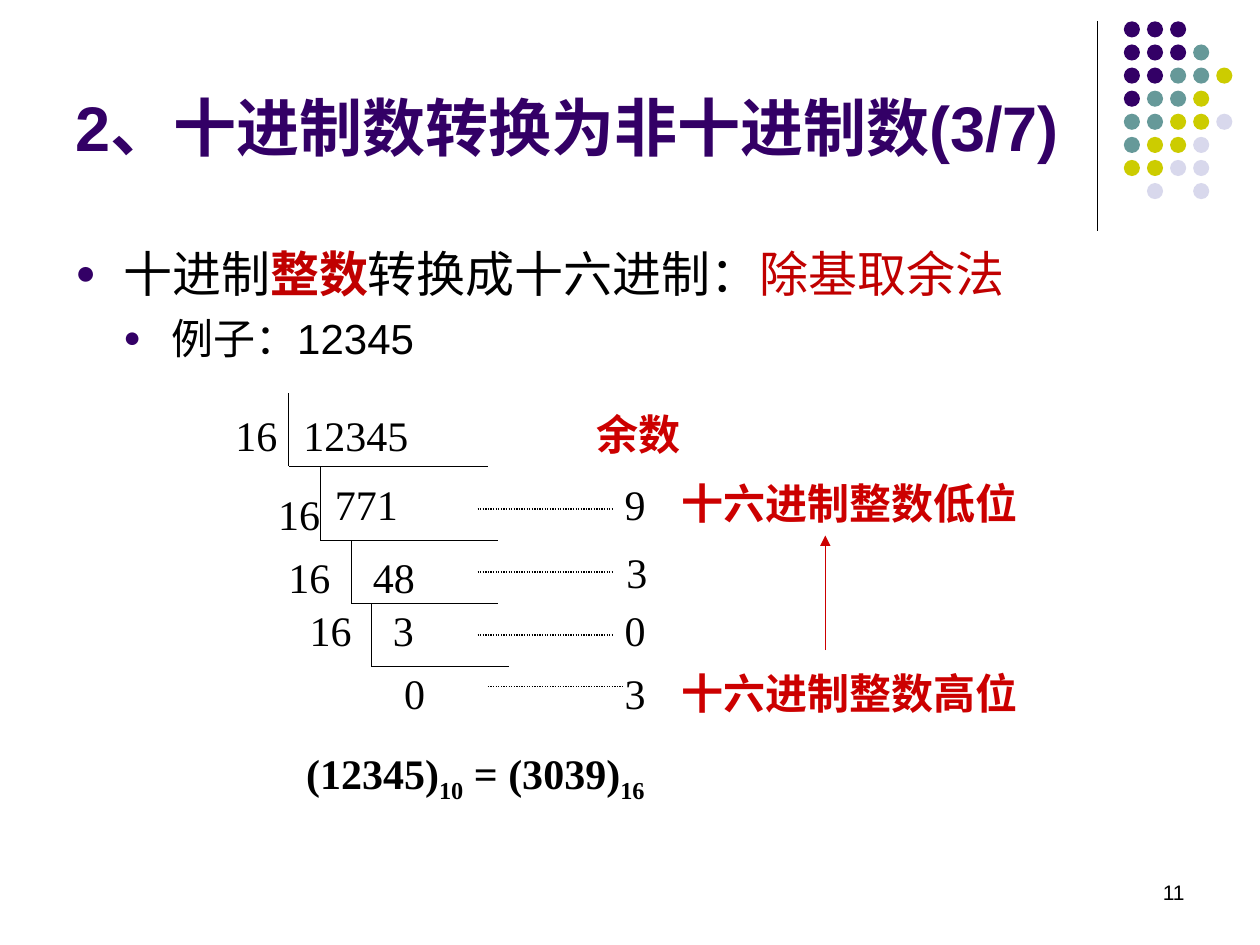
from lxml import etree
from pptx import Presentation
from pptx import util as u
from pptx.dml.color import RGBColor
from pptx.enum import dml, shapes, text
from pptx.oxml import ns

Pt = u.Pt
COLORS = {
    "ink": "000000",
    "purple": "330066",
    "teal": "669999",
    "lime": "CCCC00",
    "pale": "D8D8EC",
    "crimson": "C00000",
    "red": "CC0000",
}
SANS, SERIF, CJK = "Arial", "Times New Roman", "Noto Sans CJK SC"
DOT_COLORS = {"p": "purple", "t": "teal", "l": "lime", "v": "pale"}
DOT_ROWS = ["ppp", "pppt", "ppttl", "pttl", "ttllv", "tllv", "llvv", " v v"]
ROW_HEIGHT = 36
INDENT = 27.4


def rgb(name):
    return RGBColor.from_string(COLORS[name])


def add_run(p, content, size, color="ink", font=SERIF, bold=False, baseline=None):
    r = p.add_run()
    r.text = content
    r.font.size = Pt(size)
    r.font.name = font
    r.font.bold = bold
    r.font.color.rgb = rgb(color)
    rPr = r.font._element
    etree.SubElement(rPr, ns.qn("a:ea")).set("typeface", CJK)
    if baseline:
        rPr.set("baseline", str(baseline))


def add_box(slide, x, y, w, h, wrap=True, grow=False):
    sp = slide.shapes.add_textbox(Pt(x), Pt(y), Pt(w), Pt(h))
    tf = sp.text_frame
    tf.word_wrap = wrap
    if grow:
        tf.auto_size = text.MSO_AUTO_SIZE.SHAPE_TO_FIT_TEXT
    return tf


def add_label(slide, content, x, y, w, **style):
    tf = add_box(slide, x, y, w, ROW_HEIGHT, wrap=False, grow=True)
    add_run(tf.paragraphs[0], content, 24, **style)


def add_line(slide, x1, y1, x2, y2, color="ink", dotted=False, arrow=False):
    line = slide.shapes.add_connector(
        shapes.MSO_CONNECTOR.STRAIGHT, Pt(x1), Pt(y1), Pt(x2), Pt(y2))
    line._element.remove(line._element.find(ns.qn("p:style")))
    line.line.color.rgb = rgb(color)
    line.line.width = Pt(0.75)
    if dotted:
        line.line.dash_style = dml.MSO_LINE.ROUND_DOT
    if arrow:
        ln = line.line._get_or_add_ln()
        etree.SubElement(ln, ns.qn("a:tailEnd")).set("type", "triangle")
    etree.SubElement(line._element.spPr, ns.qn("a:effectLst"))


def add_dots(slide):
    pitch, size = 13.2, 9.2
    for row, codes in enumerate(DOT_ROWS):
        for col, code in enumerate(codes):
            if code == " ":
                continue
            sp = slide.shapes.add_shape(
                shapes.MSO_SHAPE.OVAL, Pt(642.2 + col * pitch),
                Pt(12.2 + row * pitch), Pt(size), Pt(size))
            sp.shadow.inherit = False
            sp.fill.solid()
            sp.fill.fore_color.rgb = rgb(DOT_COLORS[code])
            sp.line.fill.background()


def set_bullet(p, level):
    p.level = level
    pPr = p._p.get_or_add_pPr()
    pPr.set("marL", str(Pt(INDENT * (level + 1))))
    pPr.set("indent", str(Pt(-INDENT)))
    color = etree.SubElement(pPr, ns.qn("a:buClr"))
    etree.SubElement(color, ns.qn("a:srgbClr")).set("val", COLORS["purple"])
    etree.SubElement(pPr, ns.qn("a:buSzPct")).set("val", "70000")
    etree.SubElement(pPr, ns.qn("a:buFont")).set("typeface", SANS)
    etree.SubElement(pPr, ns.qn("a:buChar")).set("char", "●")


def add_heading(slide):
    tf = add_box(slide, 36, 21, 589, 102)
    tf.vertical_anchor = text.MSO_ANCHOR.MIDDLE
    add_run(tf.paragraphs[0], "2、十进制数转换为非十进制数(3/7)", 36,
            "purple", SANS, bold=True)


def add_body(slide):
    tf = add_box(slide, 36, 135.4, 648, 347)
    p = tf.paragraphs[0]
    set_bullet(p, 0)
    add_run(p, "十进制", 28, font=SANS)
    add_run(p, "整数", 28, "crimson", SANS, bold=True)
    add_run(p, "转换成十六进制：", 28, font=SANS)
    add_run(p, "除基取余法", 28, "crimson", CJK)
    p = tf.add_paragraph()
    set_bullet(p, 1)
    p.space_before = Pt(6)
    add_run(p, "例子：12345", 24, font=SANS)


def add_division(slide):
    brackets = [(165, 224.6, 266.4, 278.6), (183, 266.4, 308.9, 284.4),
                (201, 308.9, 344.9, 284.4), (212.4, 344.9, 380.9, 290.9)]
    for x, top, bottom, end in brackets:
        add_line(slide, x, top, x, bottom)
        add_line(slide, x, bottom, end, bottom)

    quotients = [("12345", 166.3, 230.4, 76), ("771", 184.3, 270, 52),
                 ("48", 206, 311.8, 40), ("3", 217.4, 342, 28),
                 ("0", 223.9, 378, 28)]
    divisors = [("16", x, y, 40) for x, y in
                [(127.4, 230.4), (151.9, 275.8), (157.7, 311.8), (169.9, 342)]]
    remainders = [("9", 349.9, 270, 28), ("3", 350.9, 308.9, 28),
                  ("0", 349.9, 342, 28), ("3", 349.9, 378, 28)]
    for label in quotients + divisors + remainders:
        add_label(slide, *label)

    for x, y in [(272.9, 290.9), (272.9, 326.9), (272.9, 362.9), (278.8, 392.4)]:
        add_line(slide, x, y, x + 77.8, y, dotted=True)


def add_remainder_notes(slide):
    for label in [("余数", 334, 229.7, 64),
                  ("十六进制整数低位", 382.3, 269.3, 208),
                  ("十六进制整数高位", 382.3, 378, 208)]:
        add_label(slide, *label, color="red", bold=True)
    add_line(slide, 471.6, 371.5, 471.6, 306, color="red", arrow=True)


def add_result(slide):
    p = add_box(slide, 167.8, 423.4, 300, 40, grow=True).paragraphs[0]
    for number, base in [("(12345)", "10"), (" = (3039)", "16")]:
        add_run(p, number, 24, bold=True)
        add_run(p, base, 24, bold=True, baseline=-25000)


def add_page_number(slide):
    tf = add_box(slide, 516, 492, 168, 36)
    tf.vertical_anchor = text.MSO_ANCHOR.MIDDLE
    p = tf.paragraphs[0]
    p.alignment = text.PP_ALIGN.RIGHT
    add_run(p, "11", 12, font=SANS)


def main():
    prs = Presentation()
    prs.slide_width, prs.slide_height = Pt(720), Pt(540)
    slide = prs.slides.add_slide(prs.slide_layouts[6])
    add_line(slide, 627, 12, 627, 132)
    add_dots(slide)
    add_heading(slide)
    add_body(slide)
    add_page_number(slide)
    add_remainder_notes(slide)
    add_result(slide)
    add_division(slide)
    prs.save("out.pptx")


if __name__ == "__main__":
    main()
